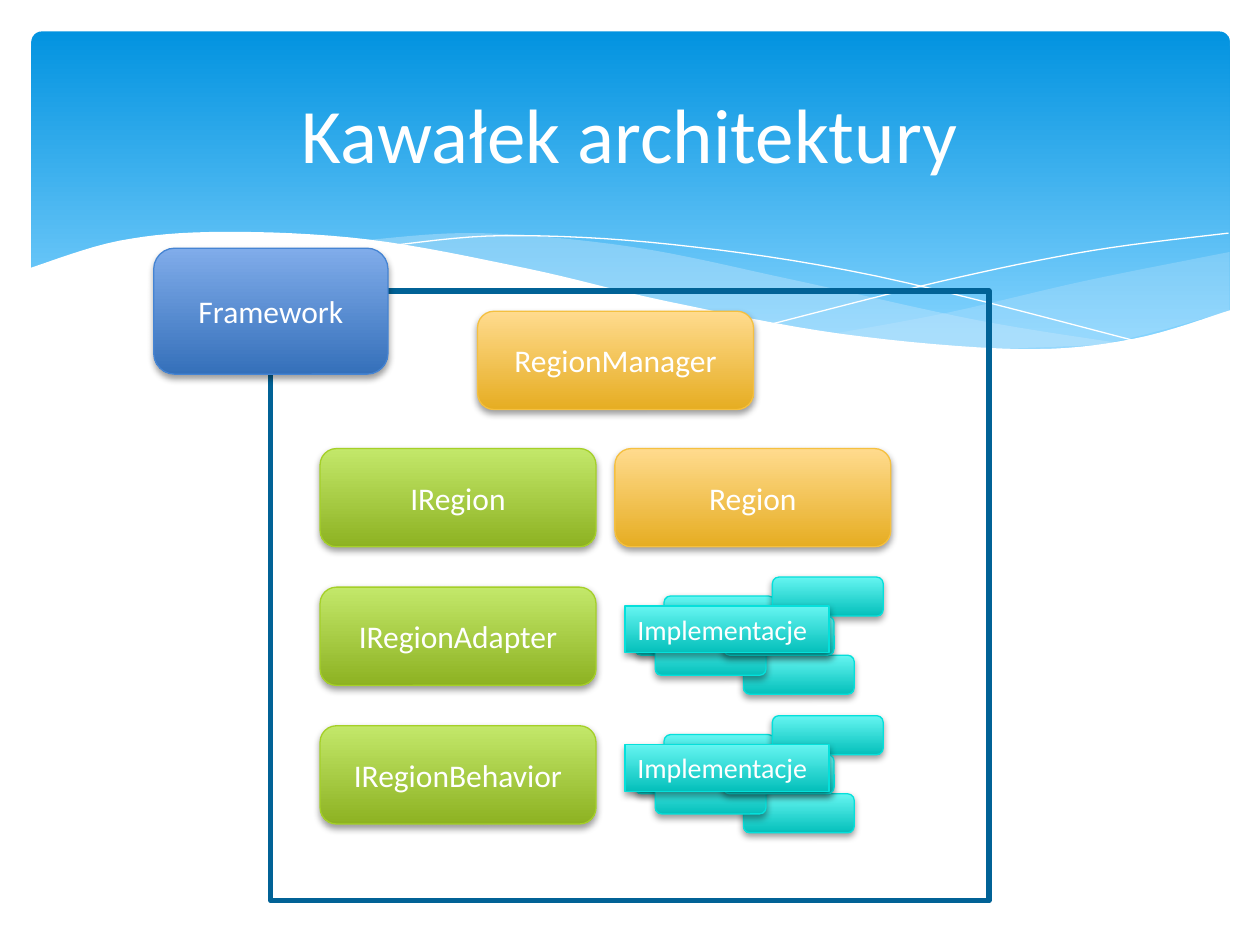
from dataclasses import dataclass

from lxml import etree
from pptx import Presentation
from pptx import util as u
from pptx.dml.color import RGBColor
from pptx.enum import shapes, text
from pptx.oxml.ns import qn

WHITE = RGBColor.from_string("FFFFFF")
NAVY = RGBColor.from_string("016296")
MIST = RGBColor.from_string("C6E7FC")
ROUND = shapes.MSO_SHAPE.ROUNDED_RECTANGLE
RECT = shapes.MSO_SHAPE.RECTANGLE


@dataclass(frozen=True)
class Tone:
    top: RGBColor
    base: RGBColor
    edge: RGBColor


@dataclass(frozen=True)
class Box:
    label: str
    left: float
    top: float
    tone: Tone
    width: float = 2.19
    height: float = 0.78


@dataclass(frozen=True)
class Wave:
    edges: tuple
    fill: RGBColor | None = None
    alpha: int = 100


def tint(*codes: str) -> Tone:
    return Tone(*map(RGBColor.from_string, codes))


SKY = tint("0293E0", "83D3FE", "83D3FE")
GOLD = tint("FFDB8E", "E6AD22", "F5C040")
LIME = tint("C3E86A", "8DB222", "A5D028")
TEAL = tint("65F5F1", "04C0BB", "05E0DB")
BLUE = tint("80ACEA", "3570BA", "4584D3")

WAVES = (
    Wave((((9.76, 2), (8.61, 2.23), (7.53, 2.48), (6.61, 2.65)),
          ((6.61, 2.65), (7.57, 2.76), (8.63, 2.75), (9.76, 2.47))), MIST, 29),
    Wave((((8.93, 2.73), (7.75, 2.54), (6.29, 2.22), (5.02, 1.96), (3.8, 1.85), (2.86, 1.91)),
          ((2.86, 1.91), (4.49, 2.22), (6.18, 2.58), (7.48, 2.76), (8.93, 2.73))), MIST, 40),
    Wave((((3.09, 1.95), (4.01, 1.87), (5.33, 1.94), (6.95, 2.19), (9.07, 2.72)),)),
    Wave((((6.13, 2.57), (7.48, 2.23), (8.66, 1.99), (9.75, 1.85)),)),
    Wave((((9.77, 2.46), (8.99, 2.69), (8.09, 2.77), (6.68, 2.65), (5.29, 2.39),
           (4.18, 2.13), (2.92, 1.9), (1.77, 1.84), (0.95, 1.91), (0.23, 2.13)),
          ((0.23, 3.29), (9.77, 3.29))), WHITE),
)

STEPS = 8
ROW = 1.1
CARDS = ((5.04, 4.89), (5.27, 4.73), (6.13, 4.58), (5.9, 5.2), (5.2, 5.05), (5.74, 4.89))
BOXES = (
    Box("RegionManager", 3.79, 2.47, GOLD),
    Box("Region", 4.88, 3.56, GOLD),
    *(Box(name, 2.54, 3.56 + row * ROW, LIME)
      for row, name in enumerate(("IRegion", "IRegionAdapter", "IRegionBehavior"))),
    Box("Framework", 1.22, 1.97, BLUE, 1.86, 1),
)


def blend(a: float, b: float, c: float, d: float, t: float) -> float:
    return b + t / 2 * (c - a + t * (2 * a - 5 * b + 4 * c - d + t * (3 * (b - c) + d - a)))


def curve(knots: tuple) -> list:
    ends = (knots[0], *knots, knots[-1])
    spans = zip(ends, ends[1:], ends[2:], ends[3:])
    dots = [tuple(u.Inches(blend(*axis, step / STEPS)) for axis in zip(*span))
            for span in spans for step in range(STEPS)]
    return dots + [tuple(map(u.Inches, knots[-1]))]


def shade(shape, tone: Tone, end: float = 1) -> None:
    shape.fill.gradient()
    shape.fill.gradient_angle = 270
    for stop, color, place in zip(shape.fill.gradient_stops, (tone.top, tone.base), (0, end)):
        stop.color.rgb = color
        stop.position = place


def drop(shape) -> None:
    effects = shape.element.spPr.find(qn("a:effectLst"))
    shadow = etree.SubElement(effects, qn("a:outerShdw"), blurRad=str(u.Pt(4)),
                              dist=str(u.Pt(2)), dir="5400000", rotWithShape="0")
    color = etree.SubElement(shadow, qn("a:srgbClr"), val="000000")
    etree.SubElement(color, qn("a:alpha"), val="38000")


def write(shape, label: str, size: int, align=text.PP_ALIGN.CENTER):
    frame = shape.text_frame
    frame.word_wrap = True
    frame.vertical_anchor = text.MSO_ANCHOR.MIDDLE
    para = frame.paragraphs[0]
    para.text = label
    para.alignment = align
    para.font.name = "Calibri"
    para.font.size = u.Pt(size)
    para.font.color.rgb = WHITE
    return frame


def plain(tree, kind, left: float, top: float, width: float, height: float):
    shape = tree.add_shape(kind, u.Inches(left), u.Inches(top), u.Inches(width), u.Inches(height))
    shape.shadow.inherit = False
    return shape


def block(tree, box: Box, kind=ROUND):
    shape = plain(tree, kind, box.left, box.top, box.width, box.height)
    shade(shape, box.tone)
    shape.line.color.rgb = box.tone.edge
    shape.line.width = u.Pt(0.75)
    drop(shape)
    return shape


def ripple(tree, wave: Wave) -> None:
    first, *rest = [dot for edge in wave.edges for dot in curve(edge)]
    pen = tree.build_freeform(*first)
    pen.add_line_segments(rest, close=wave.fill is not None)
    shape = pen.convert_to_shape()
    shape.shadow.inherit = False
    if wave.fill is None:
        shape.fill.background()
        shape.line.color.rgb = WHITE
        shape.line.width = u.Pt(0)
        return
    shape.fill.solid()
    shape.fill.fore_color.rgb = wave.fill
    shape.line.fill.background()
    if wave.alpha < 100:
        color = shape.element.spPr.find(qn("a:solidFill")).find(qn("a:srgbClr"))
        etree.SubElement(color, qn("a:alpha"), val=str(wave.alpha * 1000))


def stack(tree, shift: float) -> None:
    group = tree.add_group_shape().shapes
    for left, top in CARDS:
        block(group, Box("", left, top + shift, TEAL, 0.88, 0.31))
    tag = Box("Implementacje", 4.96, 4.81 + shift, TEAL, 1.62, 0.37)
    frame = write(block(group, tag, RECT), tag.label, 16, text.PP_ALIGN.LEFT)
    frame.word_wrap = False
    frame.vertical_anchor = text.MSO_ANCHOR.TOP
    frame.auto_size = text.MSO_AUTO_SIZE.SHAPE_TO_FIT_TEXT


def main() -> None:
    deck = Presentation()
    deck.slide_width, deck.slide_height = u.Inches(10), u.Inches(7.5)
    tree = deck.slides.add_slide(deck.slide_layouts[6]).shapes

    sky = plain(tree, ROUND, 0.25, 0.25, 9.51, 2.7)
    sky.adjustments[0] = 0.03
    shade(sky, SKY, 0.9)
    sky.line.fill.background()
    waves = tree.add_group_shape().shapes
    for wave in WAVES:
        ripple(waves, wave)

    frame = plain(tree, RECT, 2.15, 2.31, 5.7, 4.84)
    frame.fill.background()
    frame.line.color.rgb = NAVY
    frame.line.width = u.Pt(3)

    title = tree.add_textbox(u.Inches(0.5), u.Inches(0.37), u.Inches(9), u.Inches(1.37))
    write(title, "Kawałek architektury", 44)
    for box in BOXES:
        write(block(tree, box), box.label, 18)
    for row in range(2):
        stack(tree, row * ROW)
    deck.save("out.pptx")


if __name__ == "__main__":
    main()
